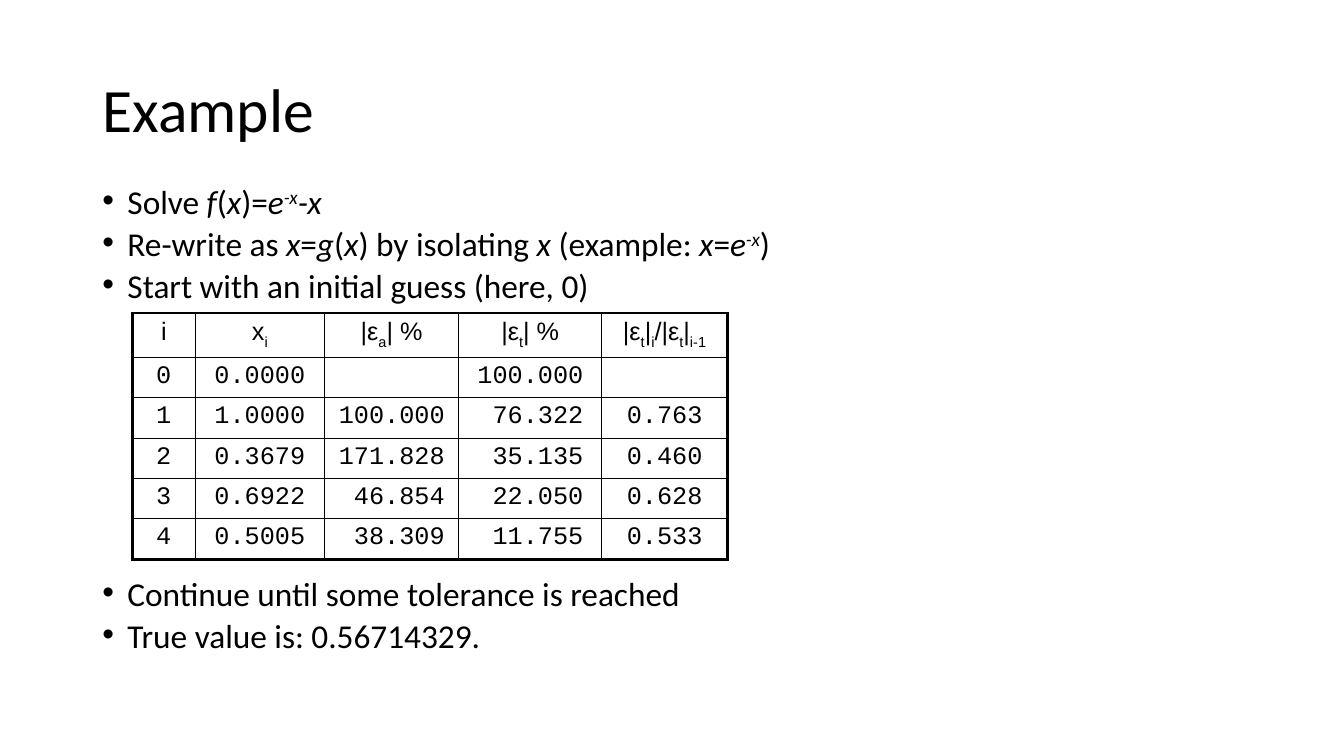
from pptx import Presentation
from pptx.dml.color import RGBColor
from pptx.enum.text import MSO_ANCHOR, PP_ALIGN
from pptx.oxml import parse_xml
from pptx.oxml.ns import nsdecls
from pptx.util import Emu, Pt

INK = "000000"
OUTER_LINE, INNER_LINE = 2.25, 1
DIGITS_WIDTH = 101  # seven characters of the digit font

STEPS_BEFORE = [
    "Solve *f*(*x*)=*e^-x^-x*",
    "Re-write as *x*=*g*(*x*) by isolating *x *(example: *x*=*e^-x^*)",
    "Start with an initial guess (here, 0)",
]
STEPS_AFTER = [
    "Continue until some tolerance is reached",
    "True value is: 0.56714329.",
]
COLUMN_WIDTHS = [60, 123, 128, 136, 120]
ROW_HEIGHT = 38.4
ERROR_COLUMNS = (2, 3)
HEADINGS = ["i", "x_i_", "|ε_a_| %", "|ε_t_| %", "|ε_t_|_i_/|ε_t_|_i-1_"]
ITERATIONS = [
    ["0", "0.0000", "", "100.000", ""],
    ["1", "1.0000", "100.000", "76.322", "0.763"],
    ["2", "0.3679", "171.828", "35.135", "0.460"],
    ["3", "0.6922", "46.854", "22.050", "0.628"],
    ["4", "0.5005", "38.309", "11.755", "0.533"],
]


def px(length):
    return Emu(round(length * 9525))


def color(hex_string):
    return RGBColor.from_string(hex_string)


def write(paragraph, text, size, font="Calibri", align=PP_ALIGN.LEFT, spacing=1.0, before=0):
    """Write text in which *...* is italic, ^...^ is raised and _..._ is lowered."""
    paragraph.alignment = align
    paragraph.line_spacing = spacing
    paragraph.space_before = Pt(before)
    paragraph.font.size = Pt(size)
    paragraph.font.name = font
    for i, slanted in enumerate(text.split("*")):
        for j, raised in enumerate(slanted.split("^")):
            for k, part in enumerate(raised.split("_")):
                if not part:
                    continue
                run = paragraph.add_run()
                run.text = part
                run.font.size = Pt(size)
                run.font.name = font
                run.font.italic = i % 2 == 1
                run.font.color.rgb = color(INK)
                if j % 2 or k % 2:
                    run.font._element.set("baseline", "30000" if j % 2 else "-25000")


def add_bullet(paragraph):
    properties = paragraph._p.get_or_add_pPr()
    properties.set("marL", str(px(24)))
    properties.set("indent", str(px(-24)))
    properties.append(parse_xml(f'<a:buFont {nsdecls("a")} typeface="Arial"/>'))
    properties.append(parse_xml(f'<a:buChar {nsdecls("a")} char="•"/>'))


def place_title(slide, left, top, width, height):
    title = slide.shapes.title
    title.left, title.top, title.width, title.height = map(px, (left, top, width, height))
    title.text_frame.vertical_anchor = MSO_ANCHOR.MIDDLE
    write(title.text_frame.paragraphs[0], "Example", 44, spacing=0.9)


def place_steps(slide, left, top, width, height, table_gap):
    frame = slide.shapes.add_textbox(*map(px, (left, top, width, height))).text_frame
    frame.word_wrap = True
    for number, step in enumerate(STEPS_BEFORE + STEPS_AFTER):
        paragraph = frame.add_paragraph() if number else frame.paragraphs[0]
        add_bullet(paragraph)
        before = table_gap if number == len(STEPS_BEFORE) else 10 if number else 0
        write(paragraph, step, 23.8, spacing=0.7, before=before)


def draw_borders(cell, widths):
    properties = cell._tc.get_or_add_tcPr()
    for position, (side, width) in enumerate(widths.items()):
        properties.insert(position, parse_xml(
            f'<a:ln{side} {nsdecls("a")} w="{Pt(width)}"><a:solidFill>'
            f'<a:srgbClr val="{INK}"/></a:solidFill></a:ln{side}>'))


def place_iterations(slide, left, top):
    rows = [HEADINGS] + ITERATIONS
    last_row, last_column = len(rows) - 1, len(HEADINGS) - 1
    table = slide.shapes.add_table(
        len(rows), len(HEADINGS), px(left), px(top),
        px(sum(COLUMN_WIDTHS)), px(ROW_HEIGHT * len(rows))).table
    table.first_row = table.horz_banding = False
    for column, width in zip(table.columns, COLUMN_WIDTHS):
        column.width = px(width)
    for r, values in enumerate(rows):
        table.rows[r].height = px(ROW_HEIGHT)
        for c, value in enumerate(values):
            cell = table.cell(r, c)
            cell.fill.background()
            cell.vertical_anchor = MSO_ANCHOR.TOP
            align = PP_ALIGN.CENTER
            if r and c in ERROR_COLUMNS:
                align = PP_ALIGN.RIGHT
                cell.margin_right = px((COLUMN_WIDTHS[c] - DIGITS_WIDTH) / 2)
            write(cell.text_frame.paragraphs[0], value, 18,
                  font="Courier New" if r else "Arial", align=align)
            edges = {"L": c == 0, "R": c == last_column, "T": r == 0, "B": r == last_row}
            draw_borders(cell, {side: OUTER_LINE if outer else INNER_LINE
                                for side, outer in edges.items()})


def main():
    presentation = Presentation()
    presentation.slide_width, presentation.slide_height = px(1280), px(720)
    slide = presentation.slides.add_slide(presentation.slide_layouts[5])
    place_title(slide, 88, 38, 1104, 139)
    place_steps(slide, 88, 178, 1104, 471, table_gap=200)
    place_iterations(slide, 126, 298)
    presentation.save("out.pptx")


if __name__ == "__main__":
    main()
